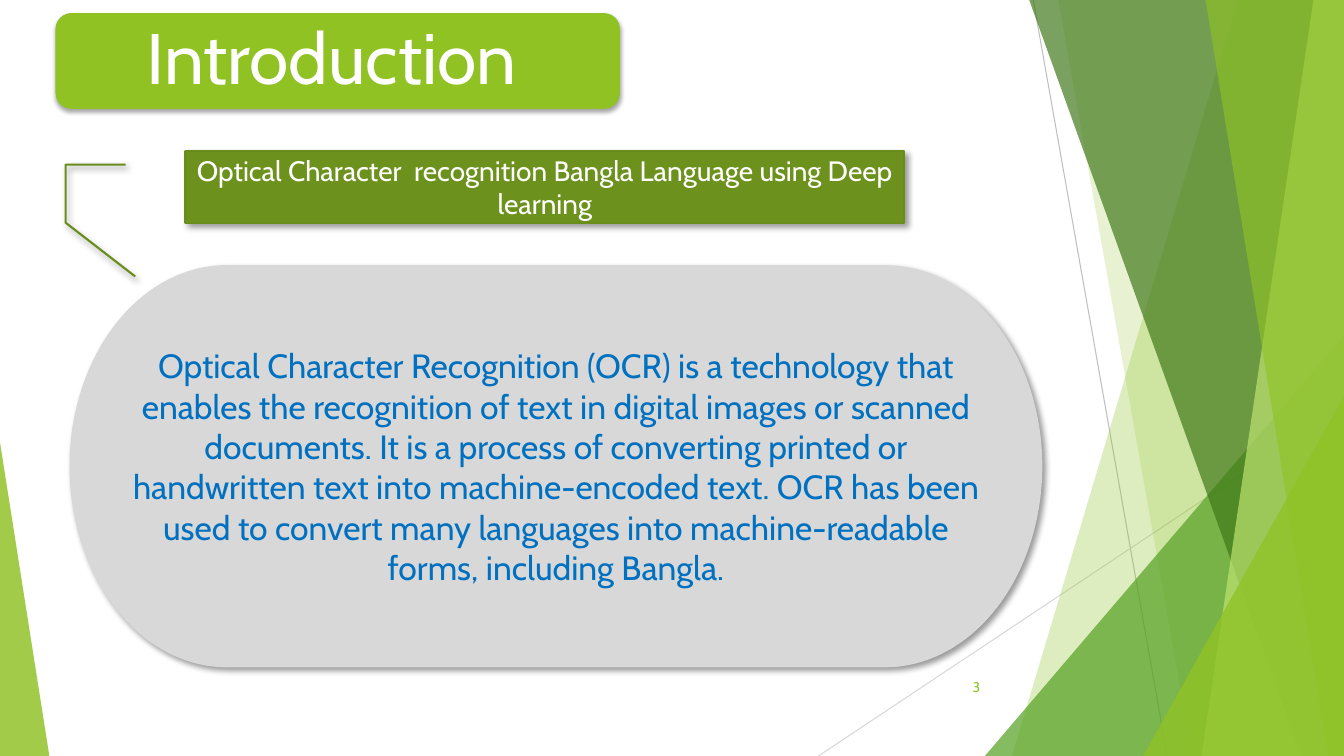
from lxml.etree import SubElement
from pptx import Presentation
from pptx.dml.color import RGBColor
from pptx.enum.shapes import MSO_CONNECTOR, MSO_SHAPE as Preset
from pptx.enum.text import MSO_ANCHOR as Anchor, PP_ALIGN as Align
from pptx.oxml.ns import qn
from pptx.util import Inches, Pt

WIDTH, HEIGHT = Inches(13.333), Inches(7.5)
LIME, OLIVE, GRAY = "90C226", "6C911C", "D8D8D8"
SOFT_SHADOW = {"opacity": 35, "blur": 3, "distance": 2, "angle": 90}
SLANTED_SHADOW = {"opacity": 40, "blur": 4, "distance": 3, "angle": 45}

DEFINITION = (
    "Optical Character Recognition (OCR) is a technology that enables the "
    "recognition of text in digital images or scanned documents. It is a process "
    "of converting printed or handwritten text into machine-encoded text. OCR has "
    "been used to convert many languages into machine-readable forms, including "
    "Bangla."
)


def color(hex_code):
    return RGBColor.from_string(hex_code)


def across(percent):
    return round(WIDTH * percent / 100)


def down(percent):
    return round(HEIGHT * percent / 100)


def frame(left, top, width, height):
    """Turn percentages of the slide into lengths."""
    return across(left), down(top), across(width), down(height)


def set_alpha(color_element, percent):
    SubElement(color_element, qn("a:alpha"), val=str(percent * 1000))


def paint(shape, fill, opacity=100, line=None):
    shape.shadow.inherit = False
    shape.fill.solid()
    shape.fill.fore_color.rgb = color(fill)
    if opacity < 100:
        set_alpha(shape.element.spPr.find(".//" + qn("a:srgbClr")), opacity)
    if line:
        shape.line.color.rgb = color(line)
        shape.line.width = Pt(1.5)
    else:
        shape.line.fill.background()


def cast_shadow(shape, opacity, blur, distance, angle):
    effects = shape.element.spPr.find(qn("a:effectLst"))
    outer = SubElement(effects, qn("a:outerShdw"), blurRad=str(Pt(blur)),
                       dist=str(Pt(distance)), dir=str(angle * 60000),
                       algn="tl", rotWithShape="0")
    set_alpha(SubElement(outer, qn("a:srgbClr"), val="000000"), opacity)


def write(shape, text, size, hex_code, align=Align.CENTER, spacing=1.0, **margins):
    text_frame = shape.text_frame
    settings = {"word_wrap": True, "vertical_anchor": Anchor.MIDDLE, **margins}
    for name, value in settings.items():
        setattr(text_frame, name, value)
    paragraph = text_frame.paragraphs[0]
    paragraph.alignment = align
    paragraph.line_spacing = spacing
    run = paragraph.add_run()
    run.text = text
    for name, value in {"name": "Cabin", "size": Pt(size)}.items():
        setattr(run.font, name, value)
    run.font.color.rgb = color(hex_code)


def add_hairline(shapes, x1, y1, x2, y2, hex_code):
    hairline = shapes.add_connector(MSO_CONNECTOR.STRAIGHT, across(x1), down(y1),
                                    across(x2), down(y2))
    hairline.line.color.rgb = color(hex_code)
    hairline.line.width = Pt(0.75)
    SubElement(hairline.element.spPr, qn("a:effectLst"))


def add_facet(shapes, top_x, bottom_x, fill, opacity):
    """Full-height pane from a slanted left edge to the slide's right edge."""
    builder = shapes.build_freeform(across(top_x), 0)
    builder.add_line_segments(
        [(WIDTH, 0), (WIDTH, HEIGHT), (across(bottom_x), HEIGHT)], close=True)
    paint(builder.convert_to_shape(), fill, opacity)


def add_corner(shapes, left, top, width, apex, fill, opacity):
    """Right triangle standing on the slide's bottom edge."""
    corner = shapes.add_shape(Preset.ISOSCELES_TRIANGLE,
                              *frame(left, top, width, 100 - top))
    corner.adjustments[0] = apex
    paint(corner, fill, opacity)


def add_panel(shapes, preset, place, fill, shadow, line=None):
    panel = shapes.add_shape(preset, *frame(*place))
    paint(panel, fill, line=line)
    cast_shadow(panel, **shadow)
    return panel


def add_backdrop(shapes):
    add_hairline(shapes, 76.88, 0, 86.85, 100, "BFBFBF")
    add_hairline(shapes, 100, 53.73, 60.9, 100, GRAY)
    add_facet(shapes, 92.1, 75.3, LIME, 29)
    add_facet(shapes, 78.75, 88.73, LIME, 20)
    add_corner(shapes, 73.28, 44.4, 26.72, 1, "54A021", 71)
    add_facet(shapes, 76.58, 96.83, "3F7818", 69)
    add_facet(shapes, 97.73, 89.4, "BFE471", 69)
    add_facet(shapes, 89.7, 98.85, LIME, 64)
    add_corner(shapes, 85.05, 52.4, 14.95, 1, LIME, 80)
    add_corner(shapes, 0, 58.53, 3.67, 0, LIME, 84)


def main():
    deck = Presentation()
    deck.slide_width, deck.slide_height = WIDTH, HEIGHT
    shapes = deck.slides.add_slide(deck.slide_layouts[6]).shapes
    add_backdrop(shapes)

    title = add_panel(shapes, Preset.ROUNDED_RECTANGLE, (4.13, 1.73, 42, 12.67),
                      "90C223", SOFT_SHADOW)
    write(title, "Introduction", 51, "FFFFFF", spacing=0.9,
          margin_left=Inches(0.21), margin_right=Inches(0.33))

    topic = add_panel(shapes, Preset.LINE_CALLOUT_3, (13.8, 20, 53.48, 9.47),
                      OLIVE, SLANTED_SHADOW, line="698D1B")
    pointer_end = {6: 1.75, 7: -0.07}
    for index, share in pointer_end.items():
        topic.adjustments[index] = share
    write(topic, "Optical Character  recognition Bangla Language using Deep learning",
          20, "FFFFFF")

    definition = add_panel(shapes, Preset.FLOWCHART_TERMINATOR,
                           (5.25, 35.2, 72.23, 52.93), GRAY, SLANTED_SHADOW, line=GRAY)
    write(definition, DEFINITION, 24, "0070C0")

    page_number = shapes.add_textbox(*frame(68.03, 88.13, 5.63, 5.33))
    write(page_number, "3", 10, LIME, Align.RIGHT)

    deck.save("out.pptx")


if __name__ == "__main__":
    main()
